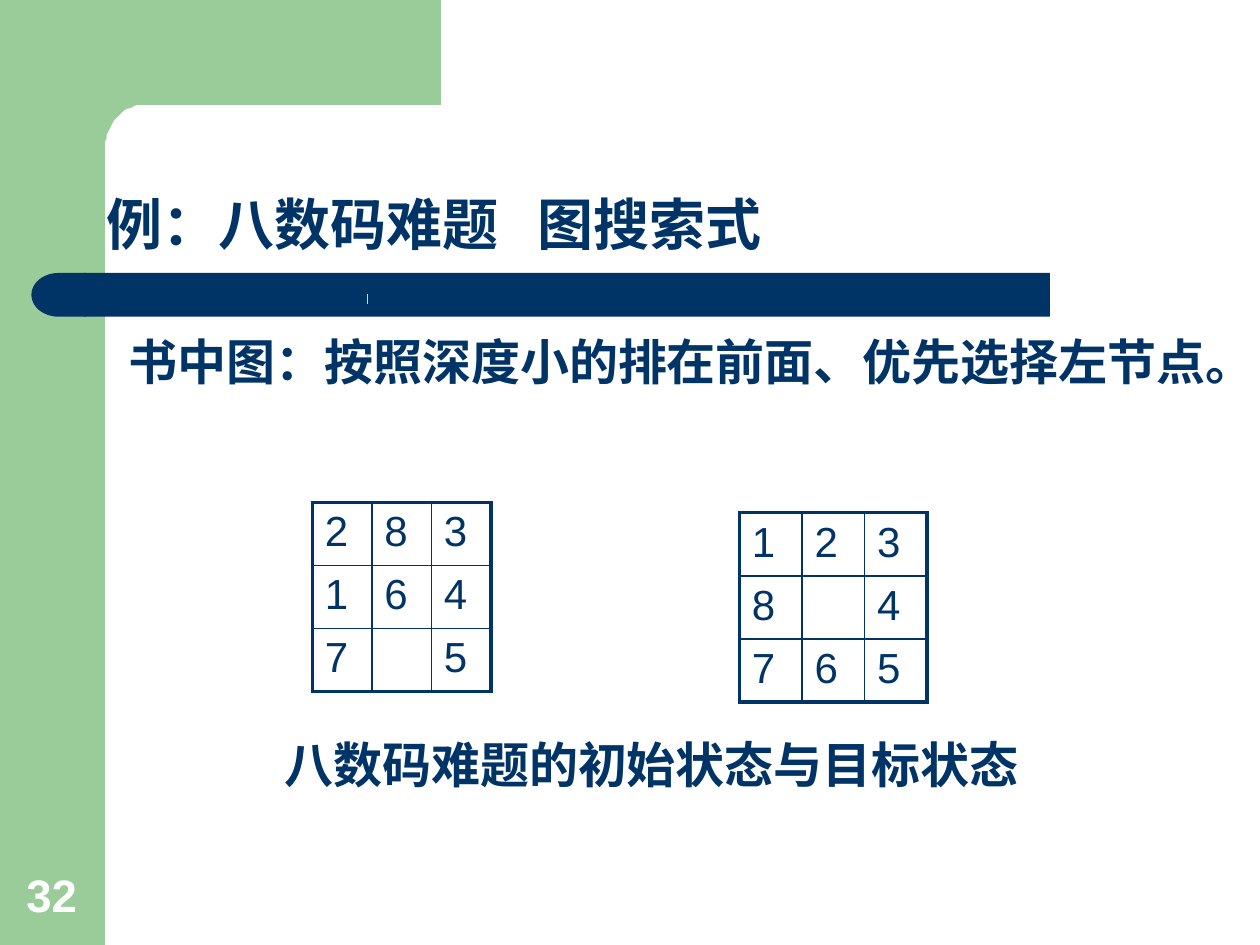
from dataclasses import dataclass
from math import cos, pi, radians, sin

from lxml.etree import SubElement
from pptx import Presentation
from pptx.dml.color import RGBColor
from pptx.enum.shapes import MSO_CONNECTOR as Connector, MSO_SHAPE as Shape
from pptx.enum.text import MSO_ANCHOR as Anchor, PP_ALIGN as Align
from pptx.oxml.ns import qn
from pptx.util import Pt


@dataclass(frozen=True)
class Theme:
    green: str = "99CC99"
    navy: str = "003366"
    peach: str = "FFCC99"
    white: str = "FFFFFF"
    title: int = 32
    body: int = 28
    number: int = 26
    cell: int = 24
    hairline: float = 0.75
    inner: float = 1
    outer: float = 2.25


theme = Theme()
deck = Presentation()
deck.slide_width, deck.slide_height = Pt(720), Pt(540)
page = deck.slides.add_slide(deck.slide_layouts[6])


def write_text(frame, text, *, size, color=theme.navy, font="Arial", bold=True,
               align=Align.LEFT, anchor=Anchor.TOP, spacing=None):
    frame.word_wrap = True
    frame.vertical_anchor = anchor
    para = frame.paragraphs[0]
    para.alignment = align
    para.line_spacing = spacing
    span = para.add_run()
    span.text = text
    span.font.name = font
    span.font.size = Pt(size)
    span.font.bold = bold
    span.font.color.rgb = RGBColor.from_string(color)
    return para


def paint(shape, color):
    shape.shadow.inherit = False
    shape.fill.solid()
    shape.fill.fore_color.rgb = RGBColor.from_string(color)
    shape.line.fill.background()


# Green sidebar, and top band with a rounded inner corner
sidebar = page.shapes.add_shape(Shape.RECTANGLE, 0, 0, Pt(60), Pt(540))
paint(sidebar, theme.green)

corner = [(82 - 22 * sin(angle), 86 - 26 * cos(angle))
          for angle in (radians(step) for step in range(0, 91, 5))]
builder = page.shapes.build_freeform(252, 0, scale=Pt(1))
builder.add_line_segments([(252, 60), *corner, (60, 92), (36, 92), (36, 0)])
paint(builder.convert_to_shape(), theme.green)

# Navy bar with a round left end
bar = page.shapes.add_shape(Shape.RECTANGLE, Pt(48), Pt(156), Pt(552), Pt(25))
paint(bar, theme.navy)
bar_end = page.shapes.add_shape(Shape.FLOWCHART_DELAY, Pt(18), Pt(156), Pt(31), Pt(25))
bar_end._element.spPr.find(qn("a:xfrm")).set("flipH", "1")
paint(bar_end, theme.navy)

# Small ticks
for top in (198, 168):
    tick = page.shapes.add_connector(Connector.STRAIGHT, Pt(210), Pt(top), Pt(210), Pt(top + 6))
    tick.line.color.rgb = RGBColor.from_string(theme.peach)
    tick.line.width = Pt(theme.hairline)
    SubElement(tick._element.spPr, qn("a:effectLst"))

# Slide number
box = page.shapes.add_textbox(Pt(6.5), Pt(492), Pt(46), Pt(38))
write_text(box.text_frame, "32", size=theme.number, color=theme.white,
           align=Align.CENTER, anchor=Anchor.BOTTOM)

# Title, with a tab stop between its two parts
box = page.shapes.add_textbox(Pt(54), Pt(60.5), Pt(612), Pt(90))
para = write_text(box.text_frame, "例：八数码难题\t图搜索式", size=theme.title,
                  anchor=Anchor.BOTTOM, spacing=0.9)
stops = SubElement(para._p.get_or_add_pPr(), qn("a:tabLst"))
SubElement(stops, qn("a:tab"), pos=str(Pt(246)), algn="l")

# Body line
box = page.shapes.add_textbox(Pt(66.5), Pt(186), Pt(653.5), Pt(89))
write_text(box.text_frame, "书中图：按照深度小的排在前面、优先选择左节点。", size=theme.body)

# Start and goal boards
boards = [
    (178.5, 287, 34, ["283", "164", "7 5"]),
    (422.5, 293, 35.75, ["123", "8 4", "765"]),
]
for left, top, column_width, rows in boards:
    frame = page.shapes.add_table(3, 3, Pt(left), Pt(top), Pt(3 * column_width), Pt(102))
    board = frame.table
    board.first_row = board.horz_banding = False
    for column in board.columns:
        column.width = Pt(column_width)
    for r, digits in enumerate(rows):
        for c, digit in enumerate(digits):
            cell = board.cell(r, c)
            cell.text_frame.paragraphs[0].font.size = Pt(theme.cell)
            if digit != " ":
                write_text(cell.text_frame, digit, size=theme.cell, bold=False)
            properties = cell._tc.get_or_add_tcPr()
            edges = {"lnL": c == 0, "lnR": c == 2, "lnT": r == 0, "lnB": r == 2}
            for edge, is_outer in edges.items():
                width = Pt(theme.outer if is_outer else theme.inner)
                border = SubElement(properties, qn(f"a:{edge}"), w=str(width))
                fill = SubElement(border, qn("a:solidFill"))
                SubElement(fill, qn("a:srgbClr"), val=theme.navy)
            cell.fill.background()

# Caption
box = page.shapes.add_textbox(Pt(155.5), Pt(416), Pt(440), Pt(41))
write_text(box.text_frame, "八数码难题的初始状态与目标状态", size=theme.body,
           font="Times New Roman")

deck.save("out.pptx")
